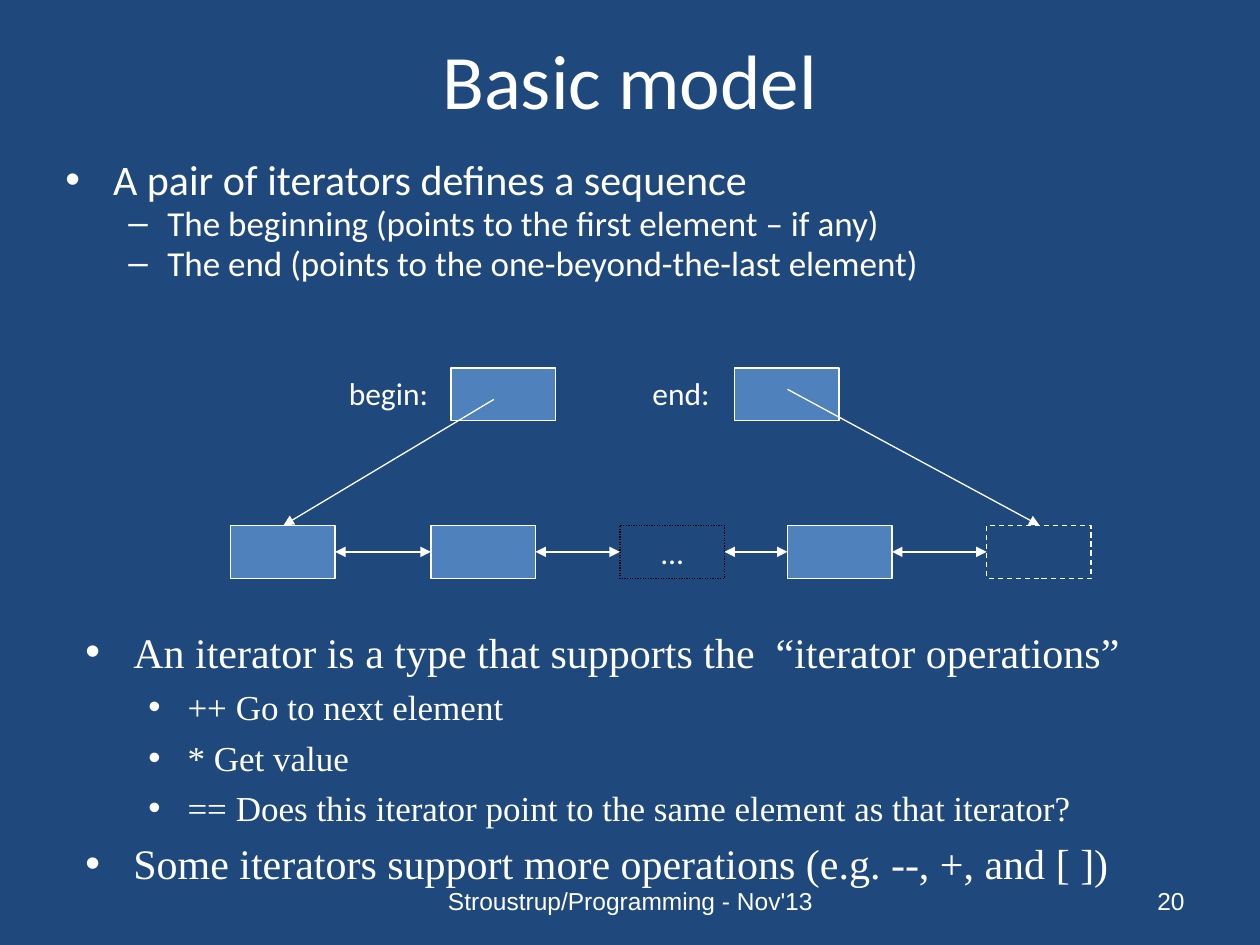
from itertools import pairwise
from lxml.etree import SubElement
from pptx import Presentation
from pptx.dml.color import RGBColor
from pptx.enum.dml import MSO_LINE
from pptx.enum.shapes import MSO_CONNECTOR, MSO_SHAPE
from pptx.enum.text import MSO_ANCHOR, PP_ALIGN
from pptx.oxml.ns import qn
from pptx.util import Inches, Pt

THEME = {
    "background": RGBColor(0x1F, 0x49, 0x7D),
    "box": RGBColor(0x4F, 0x81, 0xBD),
    "text": RGBColor(0xFF, 0xFF, 0xFF),
    "dotted": RGBColor(0, 0, 0),
    "sans": "Calibri", "serif": "Times New Roman", "footer_font": "Arial",
    "title": 44, "levels": (24, 20), "label": 18, "footer": 14,
    "line": 0.75,
}
INDENTS = ((0.38, -0.38), (0.81, -0.31))
BOX_WIDTH, BOX_HEIGHT = 0.83, 0.42


def apply_format(target, values):
    for name, value in values.items():
        setattr(target, name, value)


def add_run(paragraph, text, size, font):
    run = paragraph.add_run()
    run.text = text
    apply_format(run.font, {"size": Pt(size), "name": font})
    run.font.color.rgb = THEME["text"]


def add_text(slide, box, text, size, font, align=PP_ALIGN.LEFT, anchor=MSO_ANCHOR.MIDDLE):
    shape = slide.shapes.add_textbox(*map(Inches, box))
    apply_format(shape.text_frame, {"word_wrap": True, "vertical_anchor": anchor})
    paragraph = shape.text_frame.paragraphs[0]
    paragraph.alignment = align
    add_run(paragraph, text, size, font)


def add_list(slide, box, items, font, bullets, line_spacing, space_before):
    frame = slide.shapes.add_textbox(*map(Inches, box)).text_frame
    frame.word_wrap = True
    for index, (level, text) in enumerate(items):
        paragraph = frame.add_paragraph() if index else frame.paragraphs[0]
        apply_format(paragraph, {"level": level, "line_spacing": line_spacing,
                                 "space_before": Pt(space_before)})
        properties = paragraph._p.get_or_add_pPr()
        margin, indent = INDENTS[level]
        properties.set("marL", str(Inches(margin)))
        properties.set("indent", str(Inches(indent)))
        SubElement(properties, qn("a:buFont")).set("typeface", "Arial")
        SubElement(properties, qn("a:buChar")).set("char", bullets[level])
        add_run(paragraph, text, THEME["levels"][level], font)


def add_box(slide, left, top, filled=True, color="text", dash=None, text=""):
    shape = slide.shapes.add_shape(
        MSO_SHAPE.RECTANGLE, *map(Inches, (left, top, BOX_WIDTH, BOX_HEIGHT)))
    shape.shadow.inherit = False
    if filled:
        shape.fill.solid()
        shape.fill.fore_color.rgb = THEME["box"]
    else:
        shape.fill.background()
    shape.line.color.rgb = THEME[color]
    apply_format(shape.line, {"width": Pt(THEME["line"]), "dash_style": dash})
    if text:
        apply_format(shape.text_frame, {"word_wrap": False,
                                        "vertical_anchor": MSO_ANCHOR.MIDDLE})
        paragraph = shape.text_frame.paragraphs[0]
        paragraph.alignment = PP_ALIGN.CENTER
        add_run(paragraph, text, THEME["label"], THEME["sans"])


def add_arrow(slide, start, end, ends=("tailEnd",)):
    connector = slide.shapes.add_connector(
        MSO_CONNECTOR.STRAIGHT, *map(Inches, (*start, *end)))
    connector.line.color.rgb = THEME["text"]
    connector.line.width = Pt(THEME["line"])
    for end_name in ends:
        SubElement(connector.line._ln, qn(f"a:{end_name}")).set("type", "triangle")
    SubElement(connector._element.spPr, qn("a:effectLst"))


def add_sequence_diagram(slide, left, top):
    """Two iterators above a chain of elements."""
    chain_top = top + 1.25
    elements = (
        (0, {}),
        (1.59, {}),
        (3.09, {"filled": False, "color": "dotted",
                "dash": MSO_LINE.ROUND_DOT, "text": "…"}),
        (4.42, {}),
        (6, {"filled": False, "dash": MSO_LINE.DASH}),
    )
    # Elements and the links between neighbours
    for offset, style in elements:
        add_box(slide, left + offset, chain_top, **style)
    middle = chain_top + BOX_HEIGHT / 2
    for (first, _), (second, _) in pairwise(elements):
        add_arrow(slide, (left + first + BOX_WIDTH, middle), (left + second, middle),
                  ("headEnd", "tailEnd"))
    # Iterators: label, label offset, box offset, arrow start, arrow target
    iterators = (
        ("begin:", 0.84, 1.75, (2.09, 0.25), 0.42),
        ("end:", 3.25, 4, (4.42, 0.17), 6.42),
    )
    for label, label_offset, box_offset, (start_x, start_y), target in iterators:
        add_box(slide, left + box_offset, top)
        add_arrow(slide, (left + start_x, top + start_y), (left + target, chain_top))
        add_text(slide, (left + label_offset, top, 1.08, 0.4), label,
                 THEME["label"], THEME["sans"], anchor=MSO_ANCHOR.TOP)


def add_footer(slide, top):
    for left, width, text, align in (
            (3.42, 3.17, "Stroustrup/Programming - Nov'13", PP_ALIGN.CENTER),
            (7.17, 2.33, "20", PP_ALIGN.RIGHT)):
        add_text(slide, (left, top, width, 0.4), text, THEME["footer"],
                 THEME["footer_font"], align)


presentation = Presentation()
apply_format(presentation, {"slide_width": Inches(10), "slide_height": Inches(7.5)})
slide = presentation.slides.add_slide(presentation.slide_layouts[6])
slide.background.fill.solid()
slide.background.fill.fore_color.rgb = THEME["background"]

# Title and definition
add_text(slide, (0.5, 0, 9, 1.25), "Basic model", THEME["title"], THEME["sans"],
         PP_ALIGN.CENTER)
add_list(slide, (0.42, 1.25, 9, 1.17), (
    (0, "A pair of iterators defines a sequence"),
    (1, "The beginning (points to the first element – if any)"),
    (1, "The end (points to the one-beyond-the-last element)"),
), THEME["sans"], "•–", 0.8, 3.5)

# Diagram
add_sequence_diagram(slide, 1.83, 2.92)

# Operations
add_list(slide, (0.58, 4.92, 8.92, 2.75), (
    (0, "An iterator is a type that supports the  “iterator operations”"),
    (1, "++ Go to next element"),
    (1, "* Get value"),
    (1, "== Does this iterator point to the same element as that iterator?"),
    (0, "Some iterators support more operations (e.g. --, +, and [ ])"),
), THEME["serif"], "••", 1.0, 5)

add_footer(slide, 6.95)
presentation.save("out.pptx")
